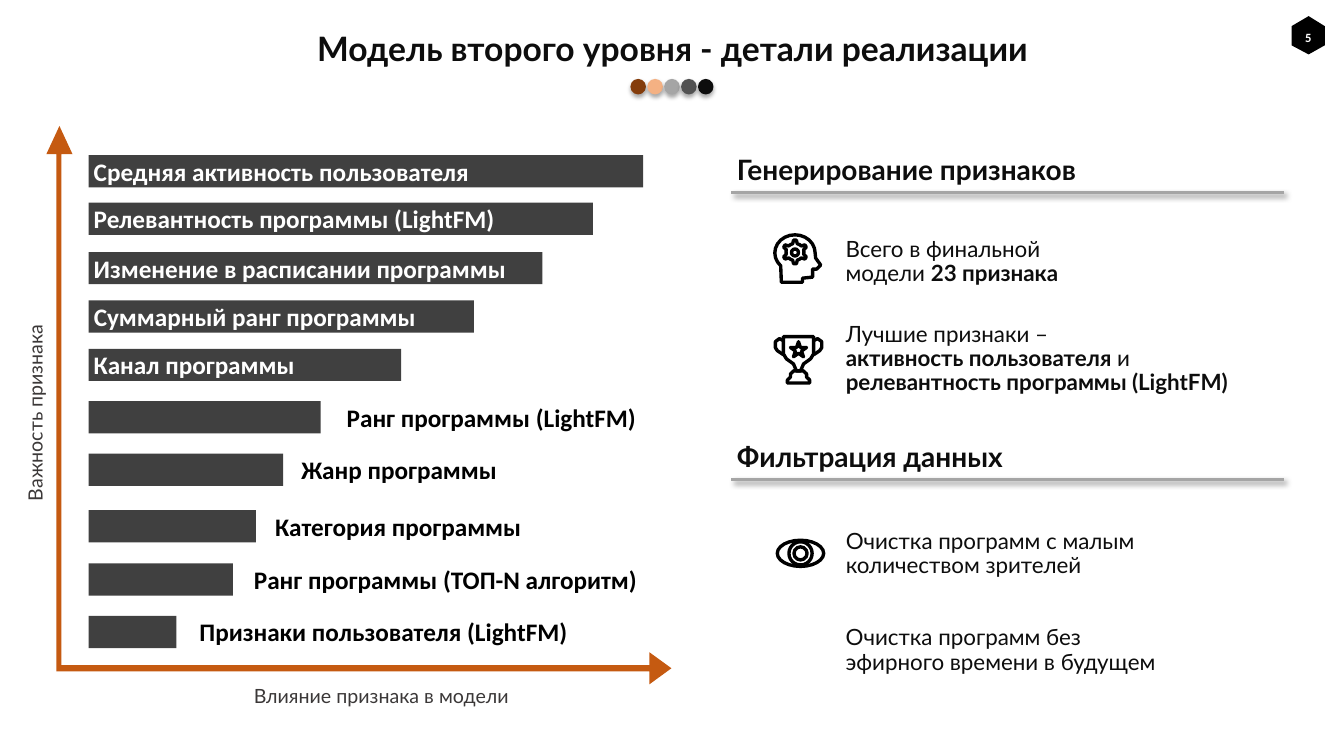
from math import cos, pi, radians, sin

from lxml.etree import SubElement
from pptx import Presentation
from pptx.dml.color import RGBColor
from pptx.enum.shapes import MSO_CONNECTOR, MSO_SHAPE as SHAPE
from pptx.enum.text import MSO_ANCHOR as ANCHOR, MSO_AUTO_SIZE, PP_ALIGN as ALIGN
from pptx.oxml.ns import qn
from pptx.util import Inches, Pt

BLACK = RGBColor(0x00, 0x00, 0x00)
WHITE = RGBColor(0xFF, 0xFF, 0xFF)
INK = RGBColor(0x0D, 0x0D, 0x0D)
BAR_GREY = RGBColor(0x40, 0x40, 0x40)
AXIS_GREY = RGBColor(0x3B, 0x38, 0x38)
AXIS_ORANGE = RGBColor(0xC5, 0x5A, 0x11)
RULE_GREY = RGBColor(0xA5, 0xA5, 0xA5)
DOT_COLORS = [RGBColor(0x84, 0x3C, 0x0B), RGBColor(0xF4, 0xB1, 0x83), RULE_GREY,
              RGBColor(0x52, 0x52, 0x52), INK]
ICON_STROKE = Pt(2.4)

FEATURES = [
    ("Средняя активность пользователя", 1.54, 5.5, None),
    ("Релевантность программы (LightFM)", 2.01, 5, None),
    ("Изменение в расписании программы", 2.5, 4.5, None),
    ("Суммарный ранг программы", 2.98, 3.82, None),
    ("Канал программы", 3.46, 3.1, None),
    ("Ранг программы (LightFM)", 3.98, 2.3, 3.34),
    ("Жанр программы", 4.5, 1.93, 2.89),
    ("Категория программы", 5.06, 1.66, 2.63),
    ("Ранг программы (ТОП-N алгоритм)", 5.59, 1.43, 2.42),
    ("Признаки пользователя (LightFM)", 6.11, 0.87, 1.88),
]


def write(frame, paragraphs, size, color, font="Lato", bold=False, align=ALIGN.LEFT,
          anchor=ANCHOR.TOP, spacing=1.0, inset=None):
    frame.word_wrap = True
    frame.auto_size = MSO_AUTO_SIZE.NONE
    frame.vertical_anchor = anchor
    if inset is not None:
        frame.margin_left = frame.margin_right = Inches(inset)
        frame.margin_top = frame.margin_bottom = Inches(inset)
    for index, runs in enumerate(paragraphs):
        paragraph = frame.paragraphs[0] if index == 0 else frame.add_paragraph()
        paragraph.alignment = align
        paragraph.line_spacing = spacing
        paragraph.font.size = Pt(size)
        paragraph.font.name = font
        paragraph.font.color.rgb = color
        if len(runs) == 1:
            paragraph.font.bold = bold
        for text, emphasis in runs:
            run = paragraph.add_run()
            run.text = text
            if len(runs) > 1:
                run.font.bold = emphasis


def label(slide, box, text, size, color, **style):
    caption = slide.shapes.add_textbox(*map(Inches, box))
    write(caption.text_frame, [[(text, None)]], size, color, **style)
    return caption


def paint(shape, fill=None, line=None, width=Pt(1)):
    shape.shadow.inherit = False
    if fill is None:
        shape.fill.background()
    else:
        shape.fill.solid()
        shape.fill.fore_color.rgb = fill
    if line is None:
        shape.line.fill.background()
    else:
        shape.line.color.rgb = line
        shape.line.width = width
    return shape


def preset(slide, kind, box, **style):
    return paint(slide.shapes.add_shape(kind, *map(Inches, box)), **style)


def outline(slide, left, top, points, close=True, **style):
    placed = [(Inches(left + x), Inches(top + y)) for x, y in points]
    builder = slide.shapes.build_freeform(*placed[0])
    builder.add_line_segments(placed[1:], close=close)
    return paint(builder.convert_to_shape(), **style)


def cast_shadow(shape, opacity, blur, distance, angle):
    properties = shape._element.spPr
    effects = properties.find(qn("a:effectLst"))
    if effects is None:
        effects = SubElement(properties, qn("a:effectLst"))
    shadow = SubElement(effects, qn("a:outerShdw"), blurRad=str(Pt(blur)),
                        dist=str(Pt(distance)), dir=str(angle * 60000),
                        algn="ctr", rotWithShape="0")
    color = SubElement(shadow, qn("a:srgbClr"), val="000000")
    SubElement(color, qn("a:alpha"), val=str(opacity * 1000))


def header(slide, left, top, width):
    title = slide.shapes.title
    title.left, title.top, title.width, title.height = map(Inches, (left, top, width, 0.46))
    write(title.text_frame, [[("Модель второго уровня - детали реализации", None)]], 24, INK,
          bold=True, align=ALIGN.CENTER, spacing=0.9)
    for index, color in enumerate(DOT_COLORS):
        dot_left = left + width / 2 - 0.41 + 0.1675 * index
        dot = preset(slide, SHAPE.OVAL, (dot_left, top + 0.52, 0.14, 0.14),
                     fill=color, line=color)
        cast_shadow(dot, 35, 3, 1.8, 90)


def page_badge(slide, left, top):
    hexagon = [(0, 0.1), (0.17, 0), (0.33, 0.1), (0.33, 0.29), (0.17, 0.38), (0, 0.29)]
    outline(slide, left, top, hexagon, fill=BLACK)
    label(slide, (left - 0.01, top + 0.09, 0.35, 0.25), "5", 9, WHITE,
          font="Calibri", bold=True, align=ALIGN.CENTER)


def importance_chart(slide, left, top):
    for name, bar_top, length, name_left in FEATURES:
        bar = preset(slide, SHAPE.RECTANGLE, (left + 0.42, bar_top, length, 0.32), fill=BAR_GREY)
        if name_left is None:
            write(bar.text_frame, [[(name, None)]], 18, WHITE, font="Calibri", bold=True,
                  anchor=ANCHOR.MIDDLE, inset=0.05)
        else:
            label(slide, (name_left, bar_top - 0.04, 4.65, 0.4), name, 18, BLACK,
                  font="Calibri", bold=True)
    axes = [(6.2, 5.38), (5.98, 5.22), (5.98, 5.35), (0.15, 5.35), (0.15, 0.28), (0.26, 0.28),
            (0.13, 0), (0, 0.28), (0.1, 0.28), (0.1, 5.41), (5.98, 5.41), (5.98, 5.54)]
    outline(slide, left, top, axes, fill=AXIS_ORANGE)
    vertical = label(slide, (left - 1.16, top + 2.6, 2.1, 0.34), "Важность признака",
                     14, AXIS_GREY)
    vertical.rotation = 270
    label(slide, (left + 1.96, top + 5.49, 2.96, 0.34), "Влияние признака в модели",
          14, AXIS_GREY)


def section_heading(slide, left, top, text):
    rule = slide.shapes.add_connector(MSO_CONNECTOR.STRAIGHT, Inches(left + 5.48),
                                      Inches(top + 0.46), Inches(left), Inches(top + 0.46))
    rule.line.color.rgb = RULE_GREY
    rule.line.width = Pt(2.25)
    cast_shadow(rule, 40, 4, 3, 45)
    label(slide, (left, top, 5.53, 0.46), text, 20, INK, bold=True, inset=0.06)


def statement(slide, left, top, width, paragraphs):
    body = slide.shapes.add_textbox(*map(Inches, (left, top, width, 0.69)))
    write(body.text_frame, paragraphs, 16, INK, anchor=ANCHOR.MIDDLE, spacing=0.9)


def head_icon(slide, left, top):
    stroke = dict(line=BLACK, width=ICON_STROKE)
    skull = [(0.215 + 0.2 * cos(radians(a)), 0.19 + 0.18 * sin(radians(a)))
             for a in range(135, 361, 15)]
    face = [(0.42, 0.24), (0.47, 0.31), (0.43, 0.35), (0.39, 0.35), (0.39, 0.43),
            (0.29, 0.44), (0.29, 0.48), (0.08, 0.48)]
    outline(slide, left, top, skull + face, **stroke)
    preset(slide, SHAPE.GEAR_6, (left + 0.09, top + 0.06, 0.25, 0.24), **stroke)
    preset(slide, SHAPE.OVAL, (left + 0.18, top + 0.15, 0.07, 0.07), **stroke)


def trophy_icon(slide, left, top):
    stroke = dict(line=BLACK, width=ICON_STROKE)
    cup = [(0.4, 0.02), (0.4, 0.19), (0.37, 0.24), (0.3, 0.29), (0.27, 0.36)]
    base = [(0.3, 0.36), (0.33, 0.39), (0.33, 0.42), (0.36, 0.45), (0.36, 0.48)]
    handle = [(0.4, 0.06), (0.44, 0.04), (0.48, 0.07), (0.48, 0.13), (0.46, 0.16), (0.4, 0.2)]
    for half in (cup, base):
        outline(slide, left, top, half + [(0.5 - x, y) for x, y in reversed(half)], **stroke)
    for side in (handle, [(0.5 - x, y) for x, y in handle]):
        outline(slide, left, top, side, close=False, **stroke)
    preset(slide, SHAPE.STAR_5_POINT, (left + 0.17, top + 0.07, 0.16, 0.15), **stroke)


def eye_icon(slide, left, top):
    stroke = dict(line=BLACK, width=ICON_STROKE)
    lids = [(0.25 - 0.23 * cos(pi * step / 12),
             0.15 - 0.13 * sin(pi * step / 12)) for step in range(13)]
    lower = [(x, 0.3 - y) for x, y in reversed(lids[1:-1])]
    outline(slide, left, top, lids + lower, **stroke)
    for diameter in (0.23, 0.13):
        preset(slide, SHAPE.OVAL, (left + 0.25 - diameter / 2, top + 0.15 - diameter / 2,
                                   diameter, diameter), **stroke)


def generation_section(slide, left, top):
    section_heading(slide, left, top, "Генерирование признаков")
    head_icon(slide, left + 0.42, top + 0.87)
    statement(slide, left + 1.04, top + 0.81, 2.47,
              [[("Всего в финальной модели ", False), ("23 признака", True)]])
    trophy_icon(slide, left + 0.42, top + 1.87)
    statement(slide, left + 1.04, top + 1.77, 4.58,
              [[("Лучшие признаки –", None)],
               [("активность пользователя ", True), ("и ", False),
                ("релевантность программы (LightFM)", True)]])


def filtering_section(slide, left, top):
    section_heading(slide, left, top, "Фильтрация данных")
    eye_icon(slide, left + 0.44, top + 1.04)
    statement(slide, left + 1.04, top + 0.85, 3.11,
              [[("Очистка программ с малым количеством зрителей", None)]])
    statement(slide, left + 1.04, top + 1.81, 3.5,
              [[("Очистка программ без эфирного времени в будущем", None)]])


def main():
    deck = Presentation()
    deck.slide_width, deck.slide_height = Inches(13.33), Inches(7.5)
    slide = deck.slides.add_slide(deck.slide_layouts[5])
    page_badge(slide, 12.81, 0.16)
    header(slide, 0.7, 0.27, 11.94)
    importance_chart(slide, 0.46, 1.25)
    generation_section(slide, 7.25, 1.45)
    filtering_section(slide, 7.25, 4.3)
    deck.save("out.pptx")


if __name__ == "__main__":
    main()
